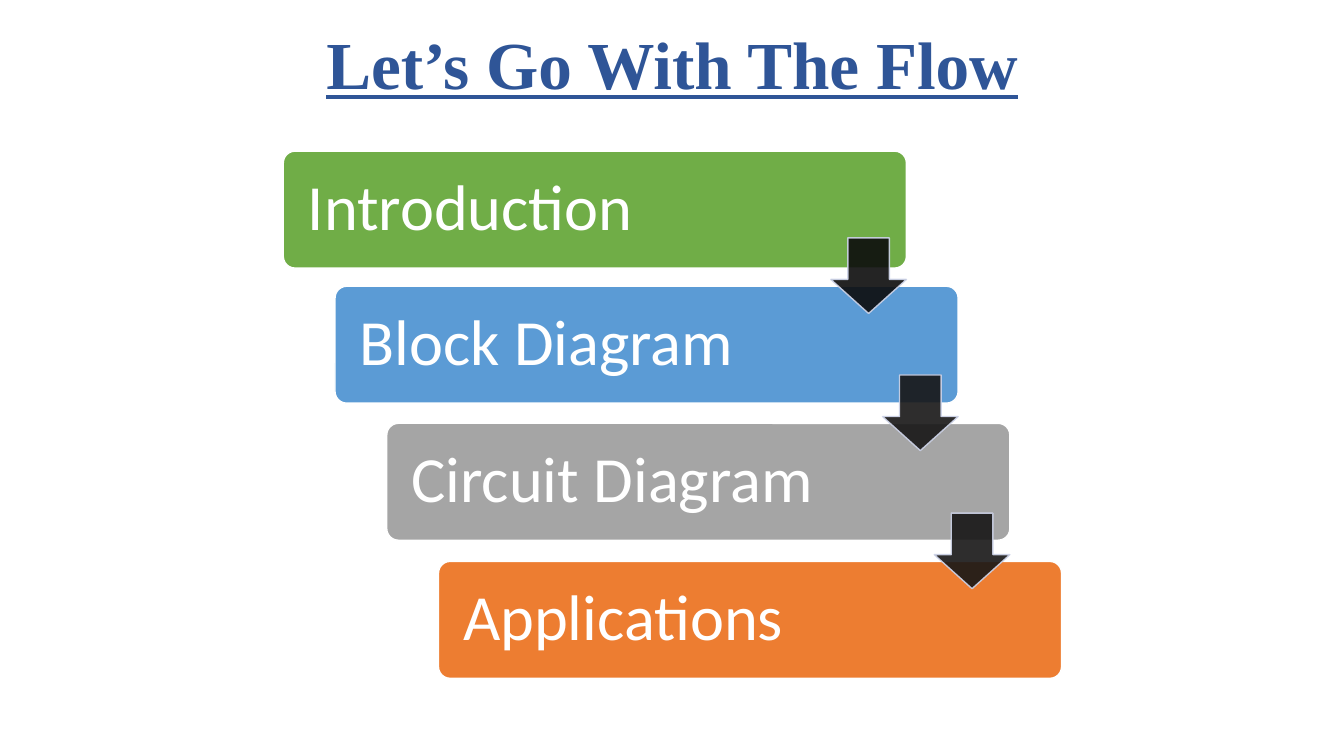
from lxml.etree import SubElement
from pptx import Presentation
from pptx.dml.color import RGBColor
from pptx.enum.shapes import MSO_SHAPE as Shape
from pptx.enum.text import MSO_ANCHOR as Anchor, PP_ALIGN as Align
from pptx.oxml.ns import qn
from pptx.util import Inches, Pt

WHITE = RGBColor(0xFF, 0xFF, 0xFF)
NAVY = RGBColor(0x2F, 0x55, 0x97)
GREEN = RGBColor(0x70, 0xAD, 0x47)
BLUE = RGBColor(0x5B, 0x9B, 0xD5)
GRAY = RGBColor(0xA5, 0xA5, 0xA5)
ORANGE = RGBColor(0xED, 0x7D, 0x31)
BLACK = RGBColor(0x0D, 0x0D, 0x0D)
CHARCOAL = RGBColor(0x18, 0x17, 0x17)
PALE_BLUE = RGBColor(0xCF, 0xD5, 0xEA)

# Content: label, card colour, top of the card in inches
TITLE = "Let’s Go With The Flow"
STEPS = [
    ("Introduction", GREEN, 1.5),
    ("Block Diagram", BLUE, 2.84),
    ("Circuit Diagram", GRAY, 4.2),
    ("Applications", ORANGE, 5.57),
]
ARROW_COLORS = [BLACK, CHARCOAL, CHARCOAL]

# Staircase measures in inches
CARD_LEFT, CARD_INDENT = 2.81, 0.513
CARD_WIDTH, CARD_HEIGHT = 6.18, 1.16
ARROW_SIZE, ARROW_RISE = 0.75, 0.48
OPACITY = 90


def write_text(shape, text, *, size, font, color, align=Align.LEFT,
               anchor=Anchor.MIDDLE, bold=False, underline=False,
               line_spacing=1.0, margins=(0.1, 0.05)):
    frame = shape.text_frame
    frame.word_wrap = True
    frame.vertical_anchor = anchor
    frame.margin_left = frame.margin_right = Inches(margins[0])
    frame.margin_top = frame.margin_bottom = Inches(margins[1])
    paragraph = frame.paragraphs[0]
    paragraph.alignment = align
    paragraph.line_spacing = line_spacing
    paragraph.space_before = Pt(0)
    run = paragraph.add_run()
    run.text = text
    run.font.size = Pt(size)
    run.font.name = font
    run.font.color.rgb = color
    run.font.bold = bold
    run.font.underline = underline


def add_block(slide, kind, box, fill, line, adjustments):
    shape = slide.shapes.add_shape(kind, *map(Inches, box))
    shape.shadow.inherit = False
    shape.fill.solid()
    shape.fill.fore_color.rgb = fill
    shape.line.color.rgb = line
    shape.line.width = Pt(1)
    for index, value in enumerate(adjustments):
        shape.adjustments[index] = value
    return shape


def set_opacity(shape, percent):
    for color in shape._element.spPr.iter(qn("a:srgbClr")):
        SubElement(color, qn("a:alpha")).set("val", str(percent * 1000))


def main():
    presentation = Presentation()
    presentation.slide_width = Inches(13.33)
    presentation.slide_height = Inches(7.5)
    slide = presentation.slides.add_slide(presentation.slide_layouts[5])

    # Title
    title = slide.shapes.title
    title.left, title.top = Inches(1.56), Inches(0.17)
    title.width, title.height = Inches(10.22), Inches(0.91)
    write_text(title, TITLE, size=48, font="Times New Roman", color=NAVY,
               align=Align.CENTER, anchor=Anchor.TOP, bold=True, underline=True)

    # Cards, each indented further than the one above
    for index, (label, color, top) in enumerate(STEPS):
        left = CARD_LEFT + index * CARD_INDENT
        card = add_block(slide, Shape.ROUNDED_RECTANGLE,
                         (left, top, CARD_WIDTH, CARD_HEIGHT),
                         color, WHITE, [0.1])
        write_text(card, label, size=46, font="Calibri", color=WHITE,
                   line_spacing=0.9, margins=(0.21, 0.19))

    # Arrows, flush with the right edge of the upper card
    for index, color in enumerate(ARROW_COLORS):
        right = CARD_LEFT + index * CARD_INDENT + CARD_WIDTH
        next_top = STEPS[index + 1][2]
        arrow = add_block(slide, Shape.DOWN_ARROW,
                          (right - ARROW_SIZE, next_top - ARROW_RISE,
                           ARROW_SIZE, ARROW_SIZE),
                          color, PALE_BLUE, [0.55, 0.45])
        set_opacity(arrow, OPACITY)

    presentation.save("out.pptx")


if __name__ == "__main__":
    main()
